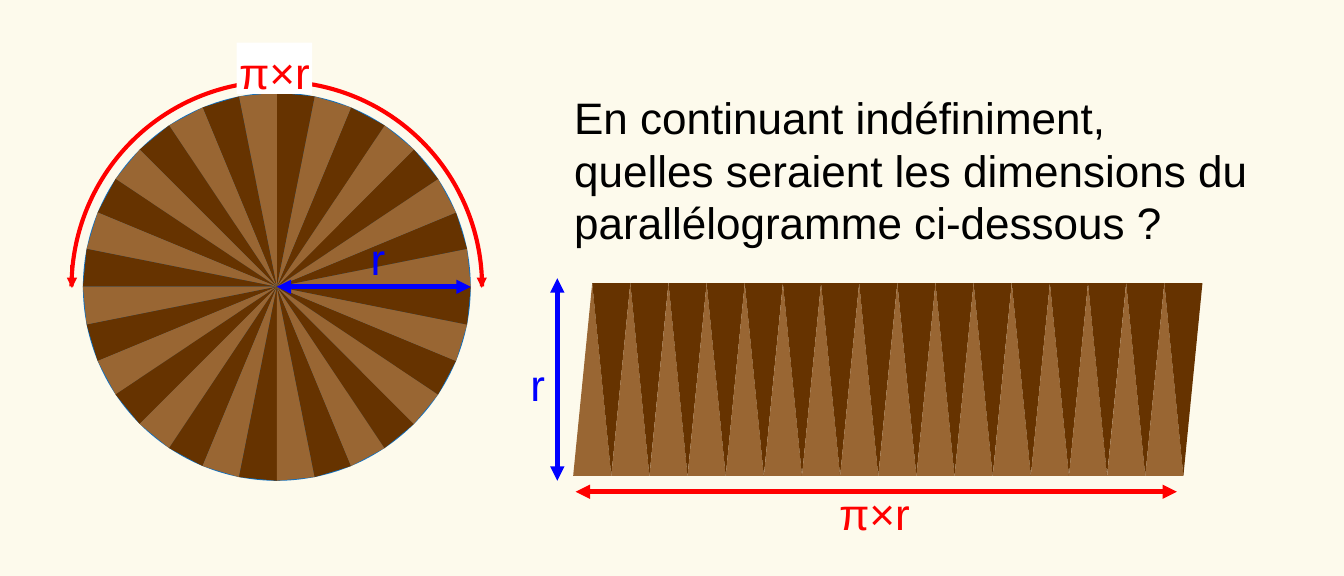
"""Build the slide that turns a disc's sectors into a parallelogram."""
from math import cos, pi, sin

from lxml.etree import SubElement
from pptx import Presentation
from pptx.dml.color import RGBColor
from pptx.enum.shapes import MSO_CONNECTOR as CONN, MSO_SHAPE as SHAPE
from pptx.enum.text import PP_ALIGN as ALIGN
from pptx.oxml.ns import qn
from pptx.util import Inches, Pt

COLOURS = {"paper": "FDFAEC", "light": "996633", "dark": "663300", "rim": "1070C0",
           "arc": "FF0000", "radius": "0000FF", "label": "FFFFFF", "text": "000000"}
COLS, ROWS = 110.2, 47.2
CELL = Inches(0.1)
SECTORS = 32
FONT, SIZE = "Arial", Pt(26)
ARC_ANGLES = 108.06, 215.94
ARC_THICKNESS = 0.01


def rgb(name):
    """Return the named colour."""
    return RGBColor.from_string(COLOURS[name])


def grid(*cells):
    """Turn grid cells into slide lengths."""
    return [round(c * CELL) for c in cells]


def paint(shape, colour):
    """Give a shape a plain fill with no line or shadow."""
    shape.shadow.inherit = False
    shape.fill.solid()
    shape.fill.fore_color.rgb = rgb(colour)
    shape.line.fill.background()


def add_triangle(shapes, corners, colour):
    """Draw one filled triangle."""
    start, *rest = [grid(*c) for c in corners]
    builder = shapes.build_freeform(*start, scale=1.0)
    builder.add_line_segments(rest, close=True)
    paint(builder.convert_to_shape(), colour)


def add_arrow(shapes, ends, colour, width=2.83, heads=("headEnd", "tailEnd")):
    """Draw a straight line with the given arrowheads."""
    line = shapes.add_connector(CONN.STRAIGHT, *grid(*ends))
    line.line.color.rgb = rgb(colour)
    line.line.width = Pt(width)
    ln = line.line._get_or_add_ln()
    for head in heads:
        SubElement(ln, qn(f"a:{head}"), type="triangle")
    SubElement(line._element.spPr, qn("a:effectLst"))


def add_text(shapes, box, text, colour, insets=(0.1, 0.05, 0.1, 0.05), wrap=True, align=None):
    """Write one paragraph in a text box."""
    tb = shapes.add_textbox(*grid(*box))
    tf = tb.text_frame
    tf.word_wrap = wrap
    tf.margin_left, tf.margin_top, tf.margin_right, tf.margin_bottom = map(Inches, insets)
    p = tf.paragraphs[0]
    p.text = text
    p.alignment = align
    p.font.name, p.font.size = FONT, SIZE
    p.font.color.rgb = rgb(colour)
    return tb


def add_length_label(shapes, cx, top):
    """Write the half circumference centred on a column."""
    return add_text(shapes, (cx - 3.1, top, 6.2, 4.2), "π×r", "arc",
                    (0, 0.02, 0, 0), False, ALIGN.CENTER)


def add_disc(s, x, y, size):
    """Draw the sliced disc with its radius and half circumference."""
    radius = size / 2
    cx, cy = x + radius, y + radius
    shapes = s.shapes.add_group_shape().shapes
    paint(shapes.add_shape(SHAPE.OVAL, *grid(x, y, size, size)), "rim")
    rim = [(cx + radius * cos(2 * pi * i / SECTORS), cy - radius * sin(2 * pi * i / SECTORS))
           for i in range(SECTORS + 1)]
    for i, (a, b) in enumerate(zip(rim, rim[1:])):
        add_triangle(shapes, ((cx, cy), a, b), ("light", "dark")[i % 2])
    add_arrow(shapes, (cx, cy, x + size, cy), "radius")
    add_text(shapes, (cx + 6.7, cy - 5, 5.9, 5), "r", "radius")

    shapes = s.shapes.add_group_shape().shapes
    gap = 1.1
    outer = size + 2 * gap
    arc = shapes.add_shape(SHAPE.BLOCK_ARC, *grid(x - gap, y - gap, outer, outer))
    for i, value in enumerate((*ARC_ANGLES, ARC_THICKNESS)):
        arc.adjustments[i] = value
    paint(arc, "arc")
    for end in (x - 0.9, x + size + 0.9):
        add_arrow(shapes, (end, cy - 1.8, end, cy + 0.1), "arc", 0, ("tailEnd",))
    paint(add_length_label(s.shapes, cx - 0.2, y - 4.1), "label")


def add_parallelogram(s, x, y, w, h):
    """Draw the sectors laid head to tail with their two dimensions."""
    shapes = s.shapes.add_group_shape().shapes
    half = w / (SECTORS + 1)
    for i in range(SECTORS):
        left = x + i * half
        base, tip = (y, y + h) if i % 2 else (y + h, y)
        add_triangle(shapes, ((left, base), (left + 2 * half, base), (left + half, tip)),
                     ("light", "dark")[i % 2])
    add_arrow(s.shapes, (x + 0.2, y + h + 1.3, x + w - 2.1, y + h + 1.3), "arc")
    add_length_label(s.shapes, x + 24.7, y + h + 0.7)
    add_arrow(s.shapes, (x - 1.3, y + h + 0.4, x - 1.3, y - 0.4), "radius")
    add_text(s.shapes, (x - 4.5, y + 5.6, 5.9, 5), "r", "radius")


def add_question(s, *box):
    """Write the question."""
    add_text(s.shapes, box, "En continuant indéfiniment, \vquelles seraient les dimensions du "
             "parallélogramme ci-dessous ?", "text")


def main():
    """Build and save the slide."""
    prs = Presentation()
    prs.slide_width, prs.slide_height = grid(COLS, ROWS)
    s = prs.slides.add_slide(prs.slide_layouts[6])
    s.background.fill.solid()
    s.background.fill.fore_color.rgb = rgb("paper")
    add_disc(s, 6.8, 7.6, 31.8)
    add_parallelogram(s, 47, 23.2, 51.6, 15.8)
    add_question(s, 46.1, 6.9, 58.3, 13.1)
    prs.save("out.pptx")


main()
